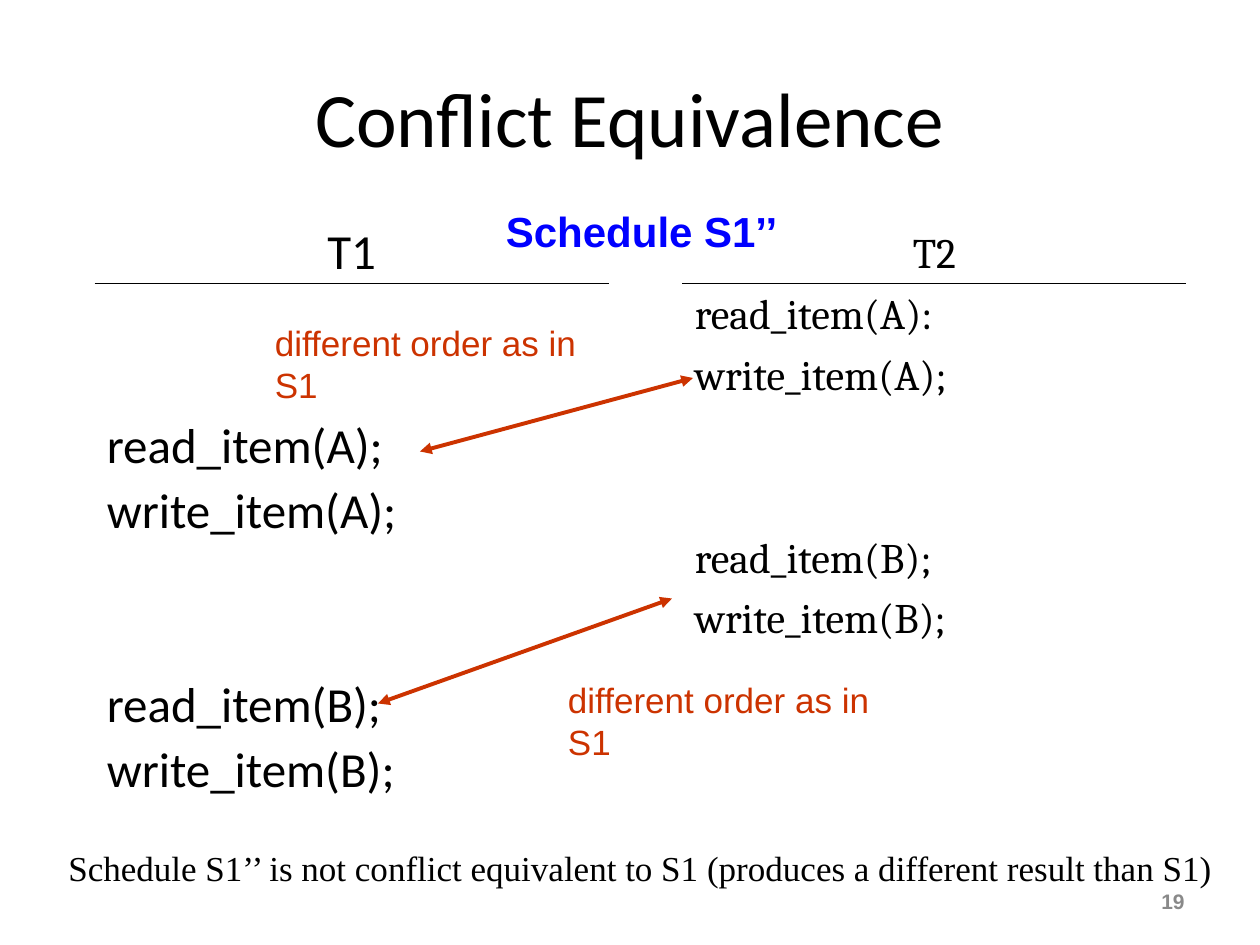
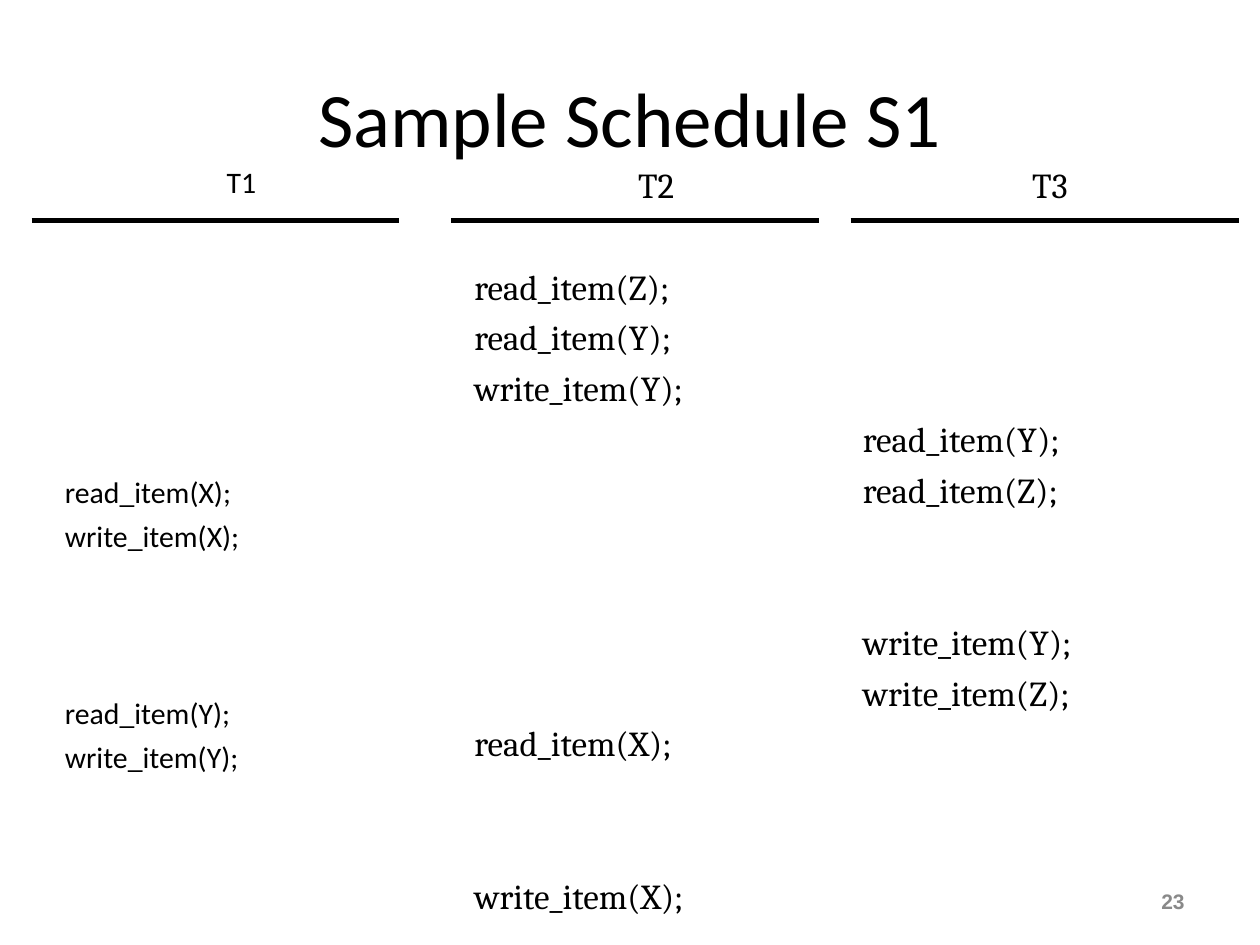
from lxml import etree
from pptx import Presentation
from pptx.dml.color import RGBColor
from pptx.enum.shapes import MSO_CONNECTOR
from pptx.enum.text import MSO_ANCHOR, PP_ALIGN
from pptx.oxml.ns import qn
from pptx.util import Pt

BLACK = RGBColor(0x00, 0x00, 0x00)
BLUE = RGBColor(0x00, 0x00, 0xFF)
RED = RGBColor(0xCC, 0x33, 0x00)
GRAY = RGBColor(0x89, 0x89, 0x89)
LEFT, CENTER, RIGHT = PP_ALIGN.LEFT, PP_ALIGN.CENTER, PP_ALIGN.RIGHT
TOP, MIDDLE = MSO_ANCHOR.TOP, MSO_ANCHOR.MIDDLE
STRAIGHT = MSO_CONNECTOR.STRAIGHT
SANS, SERIF = "Calibri", "Cambria"
RULE_DROP = 36


def add_frame(slide, box, anchor=TOP, wrap=True):
    shape = slide.shapes.add_textbox(*map(Pt, box))
    frame = shape.text_frame
    frame.word_wrap = wrap
    frame.vertical_anchor = anchor
    return frame


def write(par, text, font=SANS, size=20, color=BLACK, bold=False,
          align=LEFT, before=0, spacing=1.0):
    par.alignment = align
    par.space_before = Pt(before)
    par.line_spacing = spacing
    run = par.add_run()
    run.text = text
    run.font.name = font
    run.font.size = Pt(size)
    run.font.bold = bold
    run.font.color.rgb = color


def add_label(slide, box, text, anchor=TOP, wrap=True, **style):
    write(add_frame(slide, box, anchor, wrap).paragraphs[0], text, **style)


def add_line(slide, start, end, color=BLACK, width=0.75, arrows=False):
    line = slide.shapes.add_connector(STRAIGHT, *map(Pt, start + end))
    line.line.color.rgb = color
    line.line.width = Pt(width)
    props = line._element.spPr
    if arrows:
        stroke = props.find(qn("a:ln"))
        for tag in ("a:headEnd", "a:tailEnd"):
            etree.SubElement(stroke, qn(tag), type="triangle")
    etree.SubElement(props, qn("a:effectLst"))


def add_base(deck, title, number):
    slide = deck.slides.add_slide(deck.slide_layouts[6])
    add_label(slide, (36, 21.6, 648, 90), title, MIDDLE, size=44, align=CENTER)
    add_label(slide, (516, 500.4, 168, 28.8), number, MIDDLE, font="Arial",
              size=12, color=GRAY, bold=True, align=RIGHT)
    return slide


def add_column(slide, box, head, steps, rule, pitch, before, width, **style):
    frame = add_frame(slide, box)
    write(frame.paragraphs[0], head, align=CENTER, before=before, **style)
    last = 0
    for row, text in steps:
        gap = before + (row - last - 1) * pitch
        write(frame.add_paragraph(), text, before=gap, **style)
        last = row
    left, top = box[0] + rule[0], box[1] + RULE_DROP
    add_line(slide, (left, top), (left + rule[1], top), width=width)


def add_conflict(deck):
    slide = add_base(deck, "Conflict Equivalence", "19")
    add_column(slide, (54, 126, 294, 354), "T1",
               [(3, "read_item(A);"), (4, "write_item(A);"),
                (7, "read_item(B);"), (8, "write_item(B);")],
               (0, 294), 37.25, 6.5, 0.75, size=28, spacing=0.9)
    add_column(slide, (390, 126, 288, 408), "T2",
               [(1, "read_item(A):"), (2, "write_item(A);"),
                (5, "read_item(B);"), (6, "write_item(B);")],
               (0, 288), 34.75, 6, 0.75, font=SERIF, size=24)
    add_label(slide, (12, 480, 708, 31.5),
              "Schedule S1’’ is not conflict equivalent to S1 "
              "(produces a different result than S1)",
              font="Times New Roman", align=CENTER)
    add_label(slide, (282, 114, 170, 36), "Schedule S1’’", wrap=False,
              font="Arial", size=24, color=BLUE, bold=True)
    for start, end, spot in (((240, 258), (396, 216), (150, 180)),
                             ((216, 402), (384, 342), (317.5, 384))):
        add_line(slide, start, end, RED, 2.25, arrows=True)
        add_label(slide, spot + (216.5, 31.5), "different order as in S1",
                  wrap=False, font="Arial", color=RED)


def add_sample(deck):
    slide = add_base(deck, "Sample Schedule S1", "23")
    add_column(slide, (30, 90, 216, 354), "T1",
               [(7, "read_item(X);"), (8, "write_item(X);"),
                (12, "read_item(Y);"), (13, "write_item(Y);")],
               (-12, 210), 25.4, 4.65, 3, size=17)
    serif = dict(pitch=29, before=5, width=3, font=SERIF, size=20)
    add_column(slide, (264, 90, 222, 426), "T2",
               [(2, "read_item(Z);"), (3, "read_item(Y);"),
                (4, "write_item(Y);"), (11, "read_item(X);"),
                (14, "write_item(X);")],
               (-6, 210), **serif)
    add_column(slide, (486, 90, 228, 354), "T3",
               [(5, "read_item(Y);"), (6, "read_item(Z);"),
                (9, "write_item(Y);"), (10, "write_item(Z);")],
               (0, 222), **serif)


def main():
    deck = Presentation()
    deck.slide_width, deck.slide_height = Pt(720), Pt(540)
    add_conflict(deck)
    add_sample(deck)
    deck.save("out.pptx")


if __name__ == "__main__":
    main()
